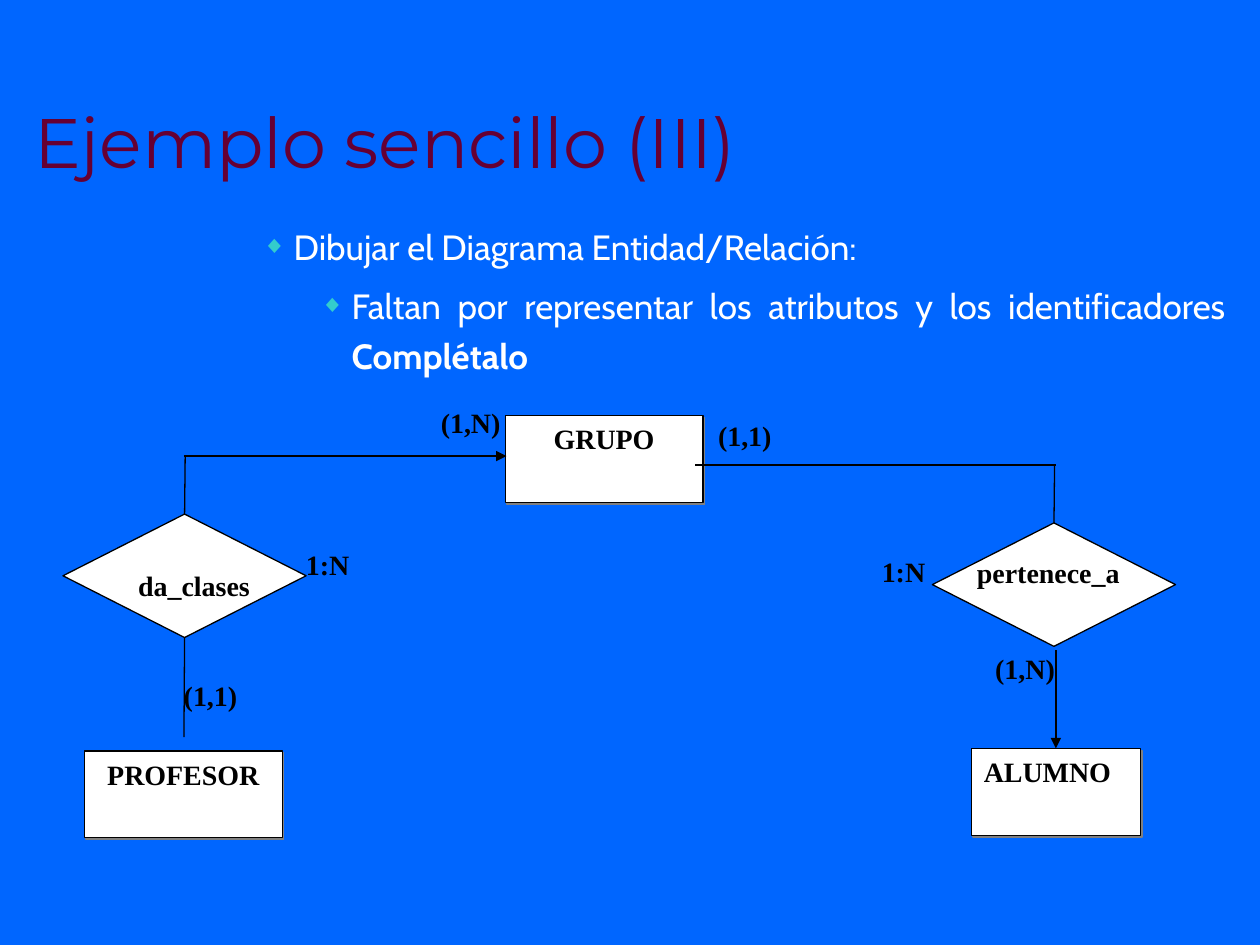
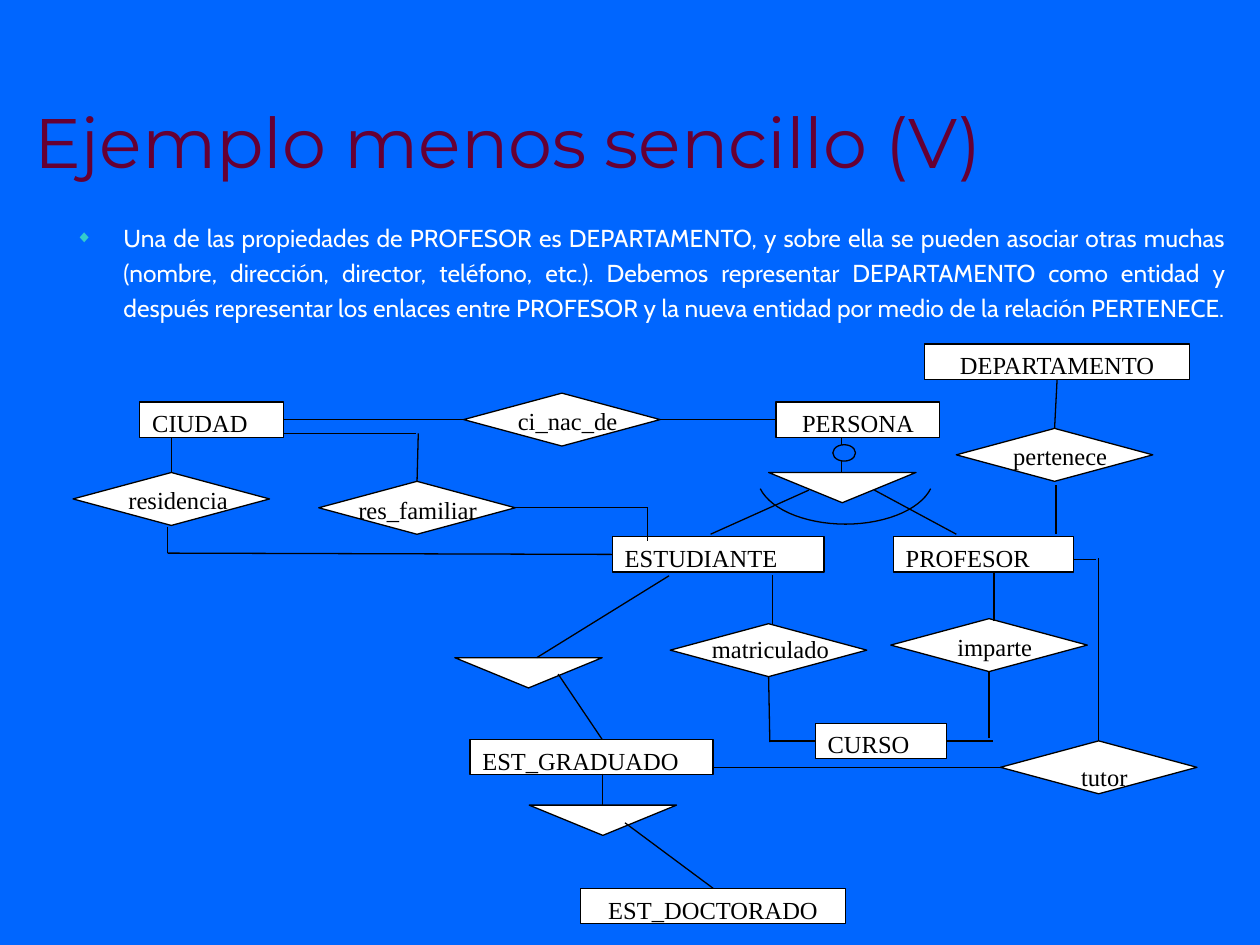
from math import cos, radians, sin

from lxml import etree
from pptx import Presentation
from pptx.dml.color import RGBColor
from pptx.enum.shapes import MSO_CONNECTOR, MSO_SHAPE
from pptx.enum.text import MSO_ANCHOR, MSO_AUTO_SIZE, PP_ALIGN
from pptx.oxml.ns import qn
from pptx.util import Inches, Pt

BLUE, WINE, TEAL = "0066FF", "660033", "33CCCC"
WHITE, BLACK, GREY = "FFFFFF", "000000", "808080"
TITLE_FONT, BODY_FONT, DIAGRAM_FONT = "Montserrat", "Cabin", "Times New Roman"
TITLE_BOX = (0.17, 0.25, 9.83, 1.25)
BODY_BOX = (0.5, 1.67, 9.33, 5.67)
LEFT, CENTER, JUSTIFY = PP_ALIGN.LEFT, PP_ALIGN.CENTER, PP_ALIGN.JUSTIFY
TOP_ANCHOR, BOTTOM_ANCHOR = MSO_ANCHOR.TOP, MSO_ANCHOR.BOTTOM
NO_AUTOFIT = MSO_AUTO_SIZE.NONE
RECTANGLE, OVAL = MSO_SHAPE.RECTANGLE, MSO_SHAPE.OVAL
DECISION, MERGE = MSO_SHAPE.FLOWCHART_DECISION, MSO_SHAPE.FLOWCHART_MERGE
STRAIGHT = MSO_CONNECTOR.STRAIGHT
TOP, WEST, BOTTOM, EAST = range(4)


def rgb(value):
    return RGBColor.from_string(value)


def add_xml(parent, tag, **attributes):
    return etree.SubElement(parent, qn(tag), attributes)


def add_run(paragraph, text, face, size, color, bold=False):
    run = paragraph.add_run()
    run.text = text
    run.font.color.rgb = rgb(color)
    for key, value in {"name": face, "size": Pt(size), "bold": bold}.items():
        setattr(run.font, key, value)


def place(shape, box):
    for key, value in zip(("left", "top", "width", "height"), box):
        setattr(shape, key, Inches(value))


def add_title(slide, text):
    title = slide.shapes.title
    place(title, TITLE_BOX)
    frame = title.text_frame
    frame.auto_size = NO_AUTOFIT
    frame.vertical_anchor = BOTTOM_ANCHOR
    paragraph = frame.paragraphs[0]
    paragraph.alignment = LEFT
    add_run(paragraph, text, TITLE_FONT, 40, WINE)


def add_bullets(slide, size, space, items):
    """Each item is (level, margin, hanging indent, [(text, bold), ...])."""
    body = slide.placeholders[1]
    place(body, BODY_BOX)
    frame = body.text_frame
    frame.auto_size = NO_AUTOFIT
    for index, (level, margin, hanging, runs) in enumerate(items):
        paragraph = frame.add_paragraph() if index else frame.paragraphs[0]
        properties = paragraph._p.get_or_add_pPr()
        properties.set("marL", str(Inches(margin)))
        properties.set("indent", str(-Inches(hanging)))
        add_xml(add_xml(properties, "a:buClr"), "a:srgbClr", val=TEAL)
        add_xml(properties, "a:buSzPct", val="70000")
        add_xml(properties, "a:buChar", char="◆")
        settings = {"level": level, "alignment": JUSTIFY, "line_spacing": 1.2,
                    "space_before": Pt(space if index else 0), "space_after": Pt(0)}
        for key, value in settings.items():
            setattr(paragraph, key, value)
        for text, bold in runs:
            add_run(paragraph, text, BODY_FONT, size, WHITE, bold)


class Diagram:
    """Entity/relationship diagram; positions are in inches from its origin."""

    def __init__(self, slide, origin, size, bold, entity_height, diamond, label_width):
        self.shapes = slide.shapes
        self.origin = origin
        self.size, self.bold = size, bold
        self.entity_height = entity_height
        self.diamond, self.label_width = diamond, label_width
        self.nodes = {}

    def point(self, x, y):
        return Inches(self.origin[0] + x), Inches(self.origin[1] + y)

    def set_text(self, shape, text, align):
        frame = shape.text_frame
        frame.word_wrap = True
        frame.vertical_anchor = TOP_ANCHOR
        paragraph = frame.paragraphs[0]
        paragraph.alignment = align
        add_run(paragraph, text, DIAGRAM_FONT, self.size, BLACK, self.bold)

    def label(self, text, x, y, width, align=LEFT):
        box = self.shapes.add_textbox(*self.point(x, y), Inches(width), Inches(0.3))
        self.set_text(box, text, align)

    def figure(self, kind, x, y, width, height, fill=WHITE):
        shape = self.shapes.add_shape(kind, *self.point(x, y), Inches(width), Inches(height))
        shape.shadow.inherit = False
        shape.fill.solid()
        shape.fill.fore_color.rgb = rgb(fill)
        self.outline(shape)
        return shape

    def outline(self, shape):
        shape.line.color.rgb = rgb(BLACK)
        shape.line.width = Pt(0.75)

    def entity(self, name, x, y, width, align=CENTER, shadow=False):
        shape = self.figure(RECTANGLE, x, y, width, self.entity_height)
        self.set_text(shape, name, align)
        if shadow:
            effects = shape._element.spPr.find(qn("a:effectLst"))
            outer = add_xml(effects, "a:outerShdw", dist=str(Pt(1.4)), dir="2700000",
                            algn="ctr", rotWithShape="0")
            add_xml(outer, "a:srgbClr", val=GREY)
        self.nodes[name] = shape

    def relationship(self, name, x, y, label_dx, label_dy):
        self.nodes[name] = self.figure(DECISION, x, y, *self.diamond)
        self.label(name, x + label_dx, y + label_dy, self.label_width, CENTER)

    def link(self, start, end, arrow=False):
        """Ends are (x, y) points or (node name, side) pairs."""
        joined = [isinstance(spot[0], str) for spot in (start, end)]
        begin, finish = [(0, 0) if join else self.point(*spot)
                         for join, spot in zip(joined, (start, end))]
        line = self.shapes.add_connector(STRAIGHT, *begin, *finish)
        for join, spot, connect in zip(joined, (start, end),
                                       (line.begin_connect, line.end_connect)):
            if join:
                connect(self.nodes[spot[0]], spot[1])
        self.outline(line)
        if arrow:
            add_xml(line._element.spPr.find(qn("a:ln")), "a:tailEnd", type="triangle")
        add_xml(line._element.spPr, "a:effectLst")

    def exclusivity_arc(self, x, y, radius_x, radius_y):
        """Lower part of an ellipse centred on x, y."""
        points = [self.point(x - radius_x * cos(radians(angle)),
                             y + radius_y * sin(radians(angle)))
                  for angle in range(15, 166, 5)]
        builder = self.shapes.build_freeform(*points[0])
        builder.add_line_segments(points[1:], close=False)
        arc = builder.convert_to_shape()
        arc.shadow.inherit = False
        arc.fill.background()
        self.outline(arc)


def add_group_diagram(slide, origin):
    diagram = Diagram(slide, origin, 16, True, 0.69, (1.93, 0.98), 1.5)
    for name, x, y, width, align in (
        ("PROFESOR", 0.17, 2.96, 1.57, CENTER),
        ("ALUMNO", 7.21, 2.94, 1.34, LEFT),
        ("GRUPO", 3.51, 0.3, 1.57, CENTER),
    ):
        diagram.entity(name, x, y, width, align, shadow=True)
    diagram.relationship("da_clases", 0, 1.08, 0.29, 0.38)
    diagram.relationship("pertenece_a", 6.9, 1.15, 0.17, 0.21)
    for cardinality, x, y in (
        ("(1,N)", 2.9, 0.17), ("(1,1)", 0.86, 2.34), ("(1,N)", 7.3, 2.12),
        ("1:N", 1.83, 1.3), ("1:N", 6.4, 1.35), ("(1,1)", 5.1, 0.27),
    ):
        diagram.label(cardinality, x, y, 0.75)
    diagram.link(("da_clases", TOP), (0.97, 0.62))
    diagram.link((0.96, 0.62), (3.52, 0.62), arrow=True)
    diagram.link(("da_clases", BOTTOM), (0.96, 2.85))
    diagram.link(("pertenece_a", TOP), (7.87, 0.69))
    diagram.link((7.88, 0.69), (5.02, 0.69))
    diagram.link((7.88, 2.16), ("ALUMNO", TOP), arrow=True)


def add_university_diagram(slide, origin):
    diagram = Diagram(slide, origin, 14, False, 0.28, (1.56, 0.42), 1.31)
    for entity in (
        ("CIUDAD", 0.61, 0.69, 1.14, LEFT),
        ("ESTUDIANTE", 4.36, 1.76, 1.68, LEFT),
        ("PROFESOR", 6.59, 1.76, 1.43, LEFT),
        ("CURSO", 5.97, 3.24, 1.04, LEFT),
        ("EST_GRADUADO", 3.23, 3.37, 1.93, LEFT),
        ("PERSONA", 5.66, 0.69, 1.3),
        ("DEPARTAMENTO", 6.84, 0.23, 2.1),
        ("EST_DOCTORADO", 4.11, 4.55, 2.1),
    ):
        diagram.entity(*entity)
    for relationship in (
        ("ci_nac_de", 3.18, 0.62, 0.17, 0.05),
        ("matriculado", 4.82, 2.45, 0.14, 0.03),
        ("imparte", 6.57, 2.41, 0.17, 0.06),
        ("residencia", 0.08, 1.25, 0.18, 0.05),
        ("res_familiar", 2.03, 1.32, 0.13, 0.06),
        ("pertenece", 7.09, 0.9, 0.17, 0.05),
        ("tutor", 7.44, 3.38, 0.17, 0.12),
    ):
        diagram.relationship(*relationship)
    for x, y in ((5.6, 1.25), (3.11, 2.72), (3.7, 3.89)):
        diagram.figure(MERGE, x, y, 1.17, 0.24)
    for start, end in (
        (("ci_nac_de", WEST), ("CIUDAD", EAST)),
        (("ci_nac_de", EAST), ("PERSONA", WEST)),
        (("residencia", TOP), (0.86, 0.97)),
        ((0.83, 1.68), (0.83, 1.89)),
        ((0.83, 1.89), ("ESTUDIANTE", WEST)),
        (("res_familiar", TOP), (2.82, 0.94)),
        ((2.8, 0.94), (1.75, 0.94)),
        (("res_familiar", EAST), (4.64, 1.53)),
        ((4.64, 1.53), (4.64, 1.79)),
        ((6.18, 0.97), (6.18, 1.25)),
        ((5.92, 1.39), (5.14, 1.74)),
        ((6.44, 1.39), (7.09, 1.74)),
        (("DEPARTAMENTO", BOTTOM), ("pertenece", TOP)),
        ((7.88, 1.35), (7.88, 1.74)),
        ((5.63, 2.45), (5.63, 2.06)),
        ((7.39, 2.43), (7.39, 2.04)),
        (("matriculado", BOTTOM), (5.61, 3.39)),
        (("imparte", BOTTOM), (7.35, 3.36)),
        (("CURSO", WEST), (5.61, 3.38)),
        (("CURSO", EAST), (7.38, 3.38)),
        ((4.81, 2.07), (3.76, 2.72)),
        ((3.93, 2.85), (4.28, 3.37)),
        ((4.28, 3.64), (4.28, 3.9)),
        ((4.46, 4.03), ("EST_DOCTORADO", TOP)),
        (("tutor", WEST), (5.16, 3.59)),
        (("tutor", TOP), (8.22, 1.93)),
        ((8.2, 1.94), (8.02, 1.94)),
    ):
        diagram.link(start, end)
    diagram.exclusivity_arc(6.21, 1.28, 0.7, 0.38)
    diagram.figure(OVAL, 6.11, 1.03, 0.18, 0.13, BLUE)


def main():
    deck = Presentation()
    deck.slide_width, deck.slide_height = Inches(10), Inches(7.5)
    background = deck.slide_master.background.fill
    background.solid()
    background.fore_color.rgb = rgb(BLUE)
    layout = deck.slide_layouts[1]

    simple = deck.slides.add_slide(layout)
    add_title(simple, "Ejemplo sencillo (III)")
    add_bullets(simple, 20, 5, [
        (3, 1.73, 0.25, [("Dibujar el Diagrama Entidad/Relación:", False)]),
        (4, 2.19, 0.25, [
            ("Faltan por representar los atributos y los identificadores ", False),
            ("Complétalo", True)]),
    ])
    add_group_diagram(simple, (0.5, 3))

    complex_case = deck.slides.add_slide(layout)
    add_title(complex_case, "Ejemplo menos sencillo (V)")
    add_bullets(complex_case, 14, 3.5, [(0, 0.38, 0.38, [(
        "Una de las propiedades de PROFESOR es DEPARTAMENTO, y sobre ella se pueden "
        "asociar otras muchas (nombre, dirección, director, teléfono, etc.). Debemos "
        "representar DEPARTAMENTO como entidad y después representar los enlaces entre "
        "PROFESOR y la nueva entidad por medio de la relación PERTENECE.", False)])])
    add_university_diagram(complex_case, (0.5, 2.5))

    deck.save("out.pptx")


if __name__ == "__main__":
    main()
